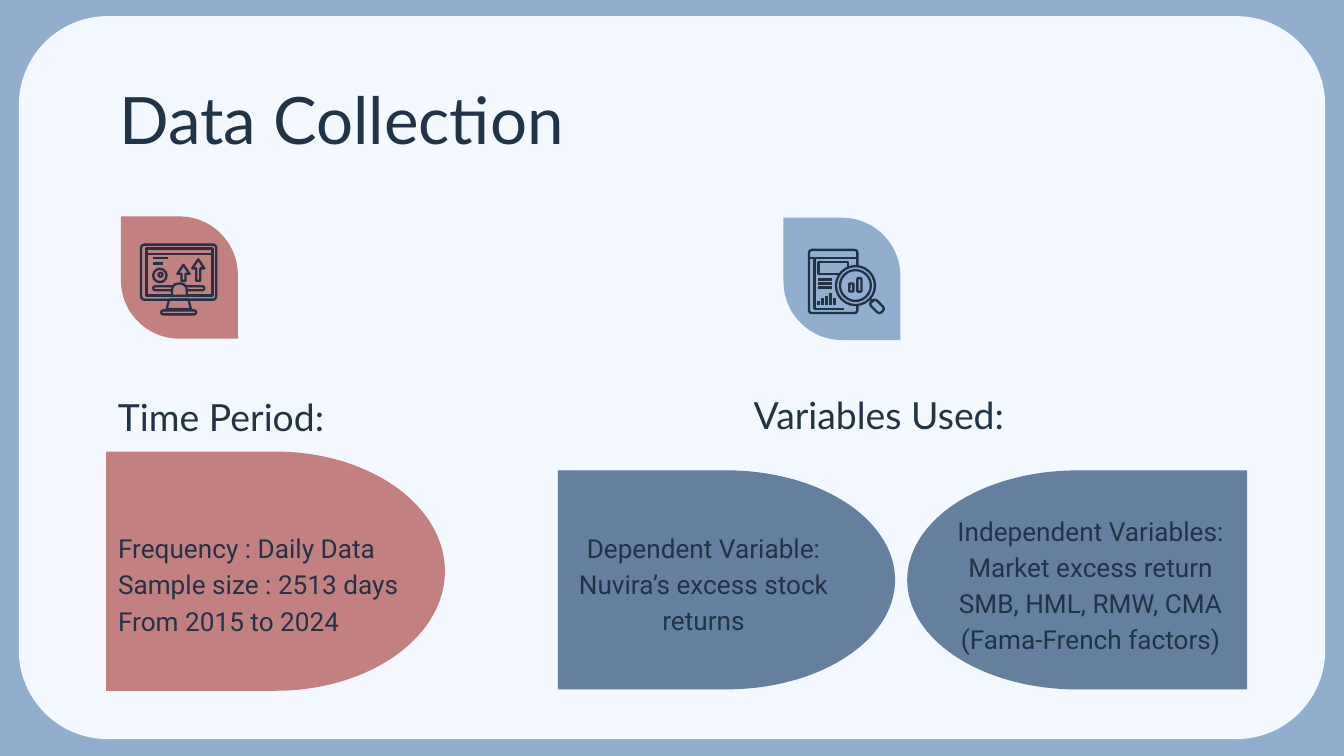
from pptx import Presentation
from pptx.dml.color import RGBColor
from pptx.enum.shapes import MSO_CONNECTOR, MSO_SHAPE
from pptx.enum.text import MSO_ANCHOR, MSO_AUTO_SIZE, PP_ALIGN
from pptx.oxml.ns import qn
from pptx.util import Inches, Pt

NAVY = RGBColor(0x23, 0x33, 0x47)
SKY = RGBColor(0x92, 0xAE, 0xCE)
STEEL = RGBColor(0x65, 0x7F, 0x9E)
ROSE = RGBColor(0xC3, 0x80, 0x80)
PAPER = RGBColor(0xF4, 0xF9, 0xFF)

LEFT, CENTER = PP_ALIGN.LEFT, PP_ALIGN.CENTER
TOP, BOTTOM = MSO_ANCHOR.TOP, MSO_ANCHOR.BOTTOM
NO_AUTOFIT = MSO_AUTO_SIZE.NONE
STRAIGHT = MSO_CONNECTOR.STRAIGHT
RECT, ROUNDED, OVAL = MSO_SHAPE.RECTANGLE, MSO_SHAPE.ROUNDED_RECTANGLE, MSO_SHAPE.OVAL
DELAY, LEAF = MSO_SHAPE.FLOWCHART_DELAY, MSO_SHAPE.ROUND_2_DIAG_RECTANGLE
UP_ARROW, DOME = MSO_SHAPE.UP_ARROW, MSO_SHAPE.ROUND_2_SAME_RECTANGLE
TRAPEZOID = MSO_SHAPE.TRAPEZOID

SLIDE_WIDTH = Inches(10)
SLIDE_HEIGHT = SLIDE_WIDTH * 9 // 16
STROKE = Pt(1.25)


def inches(box):
    return [Inches(length) for length in box]


def add_block(slide, kind, box, fill=None, outline=None, rotation=0, adjust=()):
    block = slide.shapes.add_shape(kind, *inches(box))
    block.shadow.inherit = False
    block.rotation = rotation
    for index, value in enumerate(adjust):
        block.adjustments[index] = value
    if fill is None:
        block.fill.background()
    else:
        block.fill.solid()
        block.fill.fore_color.rgb = fill
    if outline is None:
        block.line.fill.background()
    else:
        block.line.color.rgb = outline
        block.line.width = STROKE


def add_stroke(slide, x1, y1, x2, y2):
    stroke = slide.shapes.add_connector(STRAIGHT, *inches((x1, y1, x2, y2)))
    stroke.line.color.rgb = NAVY
    stroke.line.width = STROKE
    properties = stroke._element.spPr
    properties.append(properties.makeelement(qn("a:effectLst"), {}))


def write_text(holder, paragraphs, font="Roboto", size=14, align=LEFT,
               anchor=TOP, spacing=1.15):
    frame = holder.text_frame
    frame.word_wrap = True
    frame.auto_size = NO_AUTOFIT
    frame.vertical_anchor = anchor
    frame.margin_left = frame.margin_right = Inches(0.1)
    frame.margin_top = frame.margin_bottom = Inches(0.1)
    frame.text = "\n".join(paragraphs)
    for paragraph in frame.paragraphs:
        paragraph.alignment = align
        paragraph.line_spacing = spacing
        paragraph.space_before = Pt(0)
        for run in paragraph.runs:
            run.font.name = font
            run.font.size = Pt(size)
            run.font.color.rgb = NAVY


def add_text(slide, box, paragraphs, **style):
    write_text(slide.shapes.add_textbox(*inches(box)), paragraphs, **style)


def add_title(slide, text):
    title = slide.shapes.title
    title.left, title.top, title.width, title.height = inches((0.79, 0.49, 8.43, 0.63))
    write_text(title, [text], font="Lato", size=35, spacing=1)
    slide.shapes._spTree.append(title._element)


def draw_outlines(slide, outlines):
    for kind, box, options in outlines:
        add_block(slide, kind, box, outline=NAVY, **options)


def draw_monitor(slide):
    arrow = {"adjust": (0.33, 0.75)}
    pill = {"adjust": (0.5,)}
    draw_outlines(slide, [
        (ROUNDED, (1.05, 1.82, 0.56, 0.41), {"adjust": (0.06,)}),
        (RECT, (1.09, 1.85, 0.49, 0.35), {}),
        (OVAL, (1.14, 2, 0.1, 0.1), {}),
        (OVAL, (1.18, 2.03, 0.03, 0.03), {}),
        (UP_ARROW, (1.32, 1.97, 0.09, 0.12), arrow),
        (UP_ARROW, (1.43, 1.93, 0.09, 0.16), arrow),
        (ROUNDED, (1.14, 2.13, 0.38, 0.03), pill),
        (DOME, (1.28, 2.11, 0.11, 0.09), {"fill": ROSE, "adjust": (0.5, 0)}),
        (TRAPEZOID, (1.24, 2.23, 0.18, 0.07), {}),
        (ROUNDED, (1.2, 2.31, 0.26, 0.03), pill),
    ])
    add_stroke(slide, 1.09, 1.89, 1.58, 1.89)
    add_stroke(slide, 1.14, 1.92, 1.25, 1.92)
    add_stroke(slide, 1.14, 1.96, 1.21, 1.96)


def draw_report(slide):
    draw_outlines(slide, [
        (ROUNDED, (6.02, 1.86, 0.36, 0.47), {"adjust": (0.06,)}),
        (RECT, (6.09, 1.95, 0.22, 0.09), {}),
    ])
    add_stroke(slide, 6.02, 1.92, 6.38, 1.92)
    add_stroke(slide, 6.06, 1.92, 6.06, 2.3)
    add_stroke(slide, 6.06, 2.3, 6.28, 2.3)
    for y in (2.08, 2.11, 2.14):
        add_stroke(slide, 6.09, y, 6.19, y)
    for index, top in enumerate((2.24, 2.22, 2.2, 2.18, 2.22)):
        x = 6.09 + index * 0.03
        add_stroke(slide, x, top, x, 2.27)
    add_stroke(slide, 6.47, 2.22, 6.5, 2.25)
    draw_outlines(slide, [
        (OVAL, (6.22, 1.98, 0.29, 0.29), {"fill": SKY}),
        (OVAL, (6.25, 2.01, 0.23, 0.23), {}),
        (ROUNDED, (6.32, 2.11, 0.03, 0.06), {}),
        (ROUNDED, (6.38, 2.07, 0.03, 0.1), {}),
        (ROUNDED, (6.47, 2.25, 0.11, 0.06), {"rotation": 45, "adjust": (0.4,)}),
    ])


def main():
    deck = Presentation()
    deck.slide_width, deck.slide_height = SLIDE_WIDTH, SLIDE_HEIGHT
    slide = deck.slides.add_slide(deck.slide_layouts[5])
    slide.background.fill.solid()
    slide.background.fill.fore_color.rgb = SKY

    add_block(slide, ROUNDED, (0.14, 0.12, 9.72, 5.38), PAPER, adjust=(0.123,))
    add_block(slide, DELAY, (6.75, 3.5, 2.53, 1.63), STEEL, rotation=180)
    add_block(slide, DELAY, (4.15, 3.5, 2.51, 1.63), STEEL)
    add_block(slide, DELAY, (0.79, 3.36, 2.52, 1.78), ROSE)
    add_block(slide, LEAF, (0.88, 1.63, 0.91, 0.87), ROSE, rotation=270, adjust=(0.5, 0))
    add_block(slide, LEAF, (5.81, 1.64, 0.91, 0.87), SKY, rotation=270, adjust=(0.5, 0))
    draw_monitor(slide)
    draw_report(slide)

    add_title(slide, "Data Collection")
    heading = {"font": "Lato", "size": 20, "anchor": BOTTOM}
    add_text(slide, (0.78, 2.86, 2.47, 0.51), ["Time Period:"], **heading)
    add_text(slide, (5.51, 2.84, 2.47, 0.51), ["Variables Used:"], **heading)
    add_text(slide, (0.78, 3.83, 2.78, 1.25), [
        "Frequency : Daily Data",
        "Sample size : 2513 days",
        "From 2015 to 2024",
    ])
    add_text(slide, (4.15, 3.83, 2.17, 0.83),
             ["Dependent Variable: Nuvira’s excess stock returns"], align=CENTER)
    add_text(slide, (6.96, 3.7, 2.31, 0.97), [
        "Independent Variables:",
        "Market excess return",
        "SMB, HML, RMW, CMA (Fama-French factors)",
    ], align=CENTER)
    deck.save("out.pptx")


if __name__ == "__main__":
    main()
